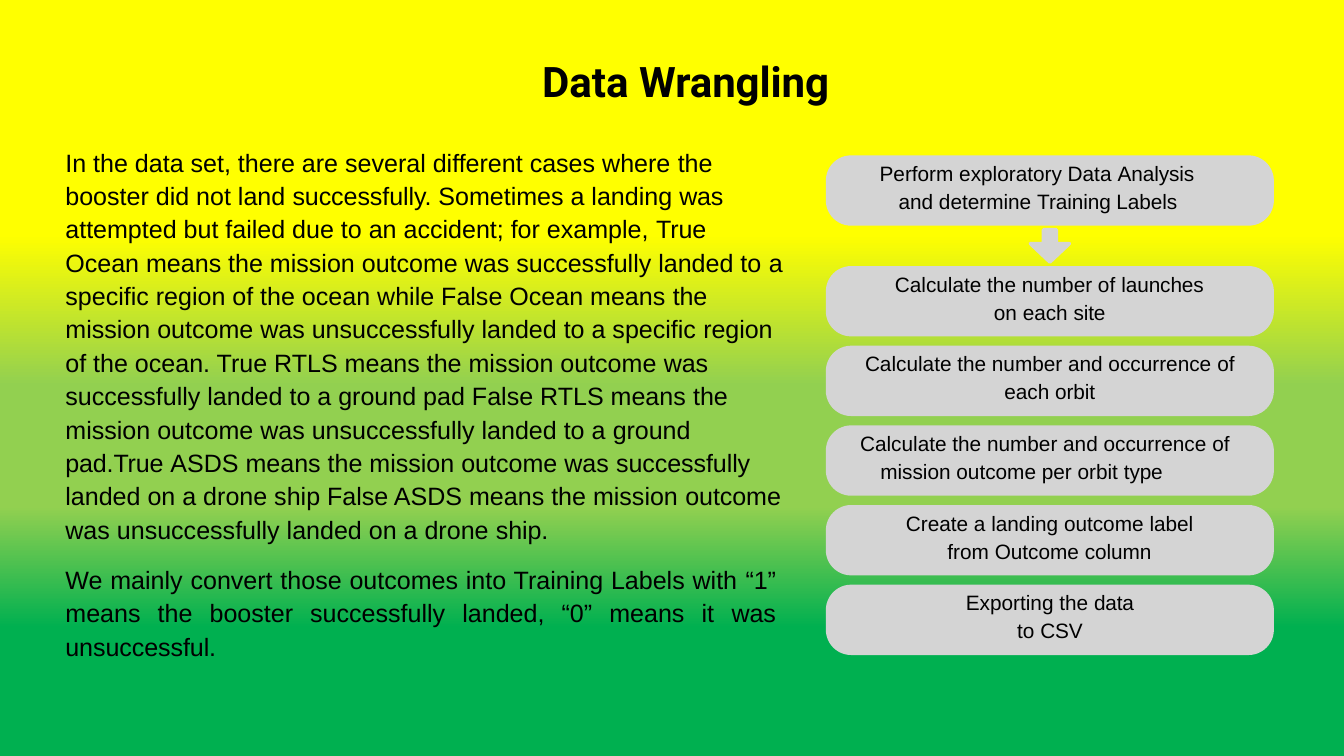
from dataclasses import dataclass

from lxml import etree
from pptx import Presentation
from pptx.dml.color import RGBColor
from pptx.enum import shapes, text
from pptx.oxml.ns import qn
from pptx.util import Inches, Pt


@dataclass(frozen=True)
class Theme:
    ink: str = "000000"
    box: str = "D4D4D4"
    body_font: str = "Arial"
    title_font: str = "Roboto"
    title_size: float = 49.5
    body_size: float = 29.5
    step_size: float = 24.5
    body_leading: float = 1.11
    step_leading: float = 1.12
    # Background stops: percent, colour
    stops: tuple = ((0, "FFFF00"), (31, "FFFF00"), (51, "92D050"),
                    (67, "92D050"), (83, "00B050"), (100, "00B050"))


T = Theme()

# Runs: text, letter spacing in points
TITLE = [("Data ", 0), ("Wrangling", -0.1)]
CASES = [
    ("In the data set, there are several different cases where ", 0), ("the ", -0.2),
    ("booster did not land ", 0), ("successfully. ", -0.1),
    ("Sometimes a landing", 0), (" was ", -0.2),
    ("attempted but failed due to an accident; for example, ", 0), ("True ", -0.2),
    ("Ocean means the mission outcome was successfully landed to ", 0), ("a ", -0.5),
    ("specific region of the ocean while False Ocean means ", 0), ("the ", -0.2),
    ("mission outcome was unsuccessfully landed to a specific ", 0), ("region ", -0.1),
    ("of the ocean. True RTLS means the mission outcome ", 0), ("was ", -0.2),
    ("successfully landed to a ground pad False RTLS means ", 0), ("the ", -0.2),
    ("mission outcome was unsuccessfully landed to a ", 0), ("ground ", -0.1),
    ("pad.True ", -0.2), ("ASDS means the mission outcome was ", 0),
    ("successfully ", -0.1),
    ("landed on a drone ship False ASDS means the mission ", 0), ("outcome ", -0.1),
    ("was unsuccessfully landed on a drone", 0), (" ship.", -0.1),
]
LABELS = [
    ("We mainly convert those outcomes into Training Labels with ", 0), ("“1” ", -0.2),
    ("means the booster successfully landed, “0” means it ", 0), ("was ", -0.2),
    ("unsuccessful.", -0.1),
]
# Steps: text offset in its box, text width, hanging indent, runs
STEPS = [
    (0.87, 5.17, 0.31, [("Perform exploratory Data ", 0), ("Analysis ", -0.1),
                        ("and determine ", 0), ("Training Labels", -0.1)]),
    (1.12, 5.1, 1.62, [("Calculate the number of ", 0), ("launches ", -0.1),
                       ("on each ", 0), ("site", -0.2)]),
    (0.63, 6.08, 2.28, [("Calculate the number and occurrence ", 0), ("of ", -0.2),
                        ("each ", 0), ("orbit", -0.1)]),
    (0.55, 6.08, 0.33, [("Calculate the number and occurrence ", 0), ("of ", -0.2),
                        ("mission outcome per orbit ", 0), ("type", -0.2)]),
    (1.3, 4.74, 0.68, [("Create a landing outcome ", 0), ("label ", -0.1),
                       ("from Outcome ", 0), ("column", -0.1)]),
    (2.28, 2.79, 0.84, [("Exporting the ", 0), ("data ", -0.2),
                        ("to ", 0), ("CSV", -0.2)]),
]


def place(sp, x, y, w, h):
    sp.left, sp.top, sp.width, sp.height = map(Inches, (x, y, w, h))


def setup_frame(sp):
    tf = sp.text_frame
    tf.margin_left = tf.margin_right = tf.margin_bottom = 0
    tf.margin_top = Inches(0.01)
    tf.vertical_anchor = text.MSO_ANCHOR.TOP
    tf.word_wrap = True
    tf.auto_size = text.MSO_AUTO_SIZE.SHAPE_TO_FIT_TEXT
    return tf


def write(p, runs, size, leading, font=T.body_font, bold=False, before=1,
          hang=0, right=0, align=text.PP_ALIGN.LEFT):
    p.alignment, p.line_spacing, p.space_before = align, leading, Pt(before)
    pPr = p._p.get_or_add_pPr()
    pPr.set("marL", str(Inches(hang + 0.01)))
    pPr.set("marR", str(Inches(right)))
    pPr.set("indent", str(-Inches(hang)))
    for words, spacing in runs:
        r = p.add_run()
        r.text = words
        r.font.name, r.font.size, r.font.bold = font, Pt(size), bold
        r.font.color.rgb = RGBColor.from_string(T.ink)
        if spacing:
            r._r.get_or_add_rPr().set("spc", str(round(spacing * 100)))


def add_box(s, kind, x, y, w, h):
    sp = s.shapes.add_shape(kind, *map(Inches, (x, y, w, h)))
    sp.shadow.inherit = False
    sp.fill.solid()
    sp.fill.fore_color.rgb = RGBColor.from_string(T.box)
    sp.line.fill.background()
    return sp


def paint_background(s):
    fill = s.background.fill
    fill.gradient()
    fill.gradient_angle = 270
    stops = s.element.find(".//" + qn("a:gsLst"))
    for stop in list(stops):
        stops.remove(stop)
    for percent, colour in T.stops:
        stop = etree.SubElement(stops, qn("a:gs"), pos=str(percent * 1000))
        etree.SubElement(stop, qn("a:srgbClr"), val=colour)


def add_title(s, x, y, w, h):
    sp = s.shapes.title
    place(sp, x, y, w, h)
    write(setup_frame(sp).paragraphs[0], TITLE, T.title_size, 1.0,
          font=T.title_font, bold=True)


def add_story(s, x, y, w, h):
    tf = setup_frame(s.shapes.add_textbox(*map(Inches, (x, y, w, h))))
    write(tf.paragraphs[0], CASES, T.body_size, T.body_leading)
    write(tf.add_paragraph(), LABELS, T.body_size, T.body_leading, before=19.8,
          right=0.12, align=text.PP_ALIGN.JUSTIFY)


def add_steps(s, x, y, w, h):
    box_h, first_gap = 1.15, 0.66
    gap = (h - first_gap - len(STEPS) * box_h) / (len(STEPS) - 2)
    top = y
    for i, (dx, text_w, hang, runs) in enumerate(STEPS):
        sp = add_box(s, shapes.MSO_SHAPE.ROUNDED_RECTANGLE, x, top, w, box_h)
        sp.adjustments[0] = 0.36
        tb = s.shapes.add_textbox(*map(Inches, (x + dx, top + 0.03, text_w, 0.94)))
        write(setup_frame(tb).paragraphs[0], runs, T.step_size, T.step_leading,
              hang=hang)
        top += box_h + (gap if i else first_gap)

    # Arrow between the first two steps
    arrow_w, arrow_h = 0.64, 0.53
    arrow = add_box(s, shapes.MSO_SHAPE.DOWN_ARROW, x + (w - arrow_w) / 2,
                    y + box_h + (first_gap - arrow_h) / 2, arrow_w, arrow_h)
    arrow.adjustments[0], arrow.adjustments[1] = 0.33, 0.57
    arrow.line.color.rgb = RGBColor.from_string(T.box)
    arrow.line.width = Pt(4.12)


def main():
    prs = Presentation()
    prs.slide_width, prs.slide_height = Pt(1583), Pt(890)
    s = prs.slides.add_slide(prs.slide_layouts[5])
    paint_background(s)
    add_title(s, 8.86, 0.9, 4.74, 0.85)
    add_story(s, 1.06, 2.34, 11.75, 8.55)
    add_steps(s, 13.51, 2.54, 7.33, 8.17)
    prs.save("out.pptx")


if __name__ == "__main__":
    main()
